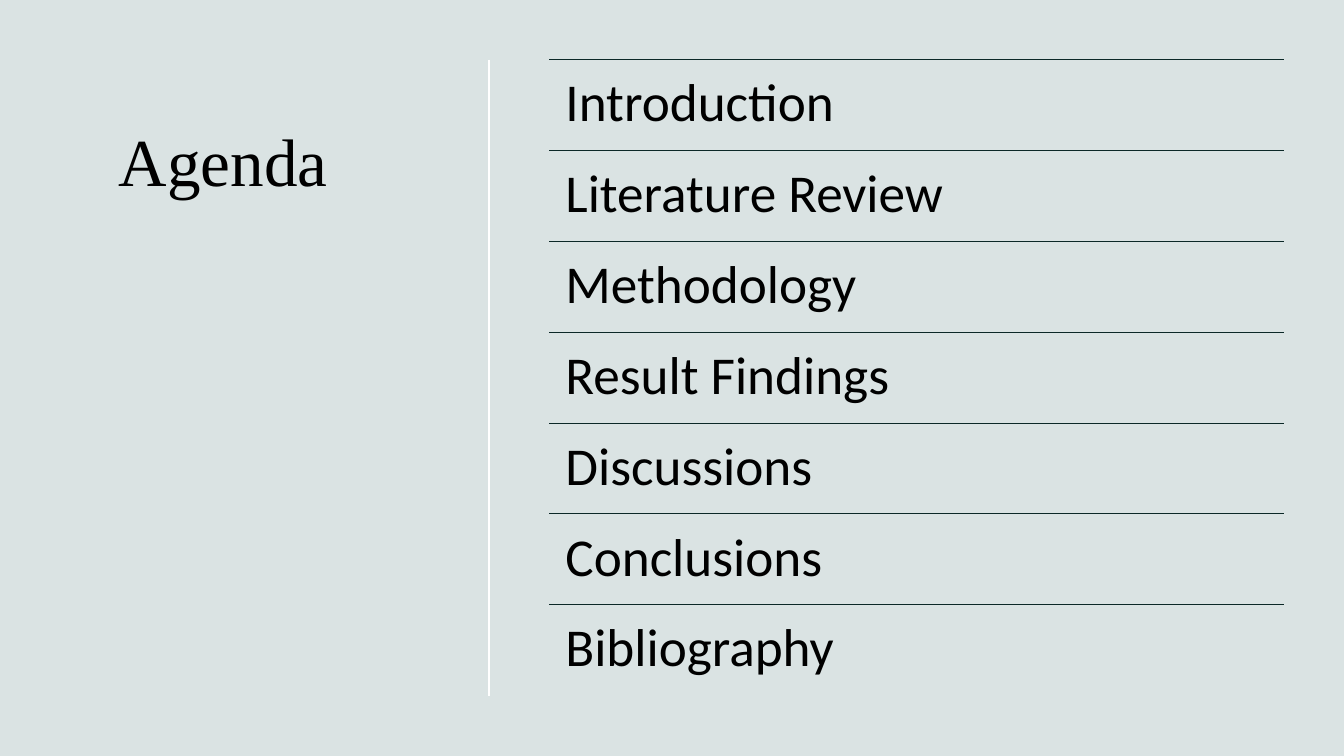
from pptx import Presentation
from pptx.dml.color import RGBColor
from pptx.enum import shapes, text
from pptx.oxml import parse_xml
from pptx.oxml.ns import nsdecls
from pptx.util import Cm, Pt

TITLE = "Agenda"
ITEMS = [
    "Introduction",
    "Literature Review",
    "Methodology",
    "Result Findings",
    "Discussions",
    "Conclusions",
    "Bibliography",
]

BACK = RGBColor(0xDA, 0xE3, 0xE3)
INK = RGBColor(0, 0, 0)
RULE = RGBColor(0x0B, 0x28, 0x27)
WHITE = RGBColor(0xFF, 0xFF, 0xFF)

# Lengths in centimetres
LEFT, TOP, WIDTH, ROW = 13.84, 1.5, 18.52, 2.29
SPLIT, FOOT = 12.32, 17.55


def add_line(slide, x1, y1, x2, y2, color, weight):
    line = slide.shapes.add_connector(
        shapes.MSO_CONNECTOR.STRAIGHT, Cm(x1), Cm(y1), Cm(x2), Cm(y2))
    line.line.color.rgb = color
    line.line.width = Pt(weight)
    line._element.spPr.append(parse_xml(f"<a:effectLst {nsdecls('a')}/>"))


def add_label(slide, words, place, pads, face, size, space):
    """Add one top-anchored line of text; pads are the side and top insets."""
    frame = slide.shapes.add_textbox(*map(Cm, place)).text_frame
    frame.word_wrap = True
    frame.vertical_anchor = text.MSO_ANCHOR.TOP
    side, top = map(Cm, pads)
    frame.margin_left = frame.margin_right = side
    frame.margin_top = frame.margin_bottom = top
    para = frame.paragraphs[0]
    para.text = words
    para.line_spacing = space
    para.font.name = face
    para.font.size = Pt(size)
    para.font.color.rgb = INK


def main():
    deck = Presentation()
    deck.slide_width, deck.slide_height = Cm(33.87), Cm(19.05)
    slide = deck.slides.add_slide(deck.slide_layouts[6])
    slide.background.fill.solid()
    slide.background.fill.fore_color.rgb = BACK

    add_label(slide, TITLE, (2.74, 2.64, 7.77, 13.03), (0.25, 0.38),
              "Times New Roman", 48, 1.0)
    add_line(slide, SPLIT, TOP, SPLIT, FOOT, WHITE, 1)

    for i, item in enumerate(ITEMS):
        y = TOP + i * ROW
        add_line(slide, LEFT, y, LEFT + WIDTH, y, RULE, 0.75)
        add_label(slide, item, (LEFT, y, WIDTH, ROW), (0.41, 0.41),
                  "Calibri", 38, 0.9)

    deck.save("out.pptx")


if __name__ == "__main__":
    main()
